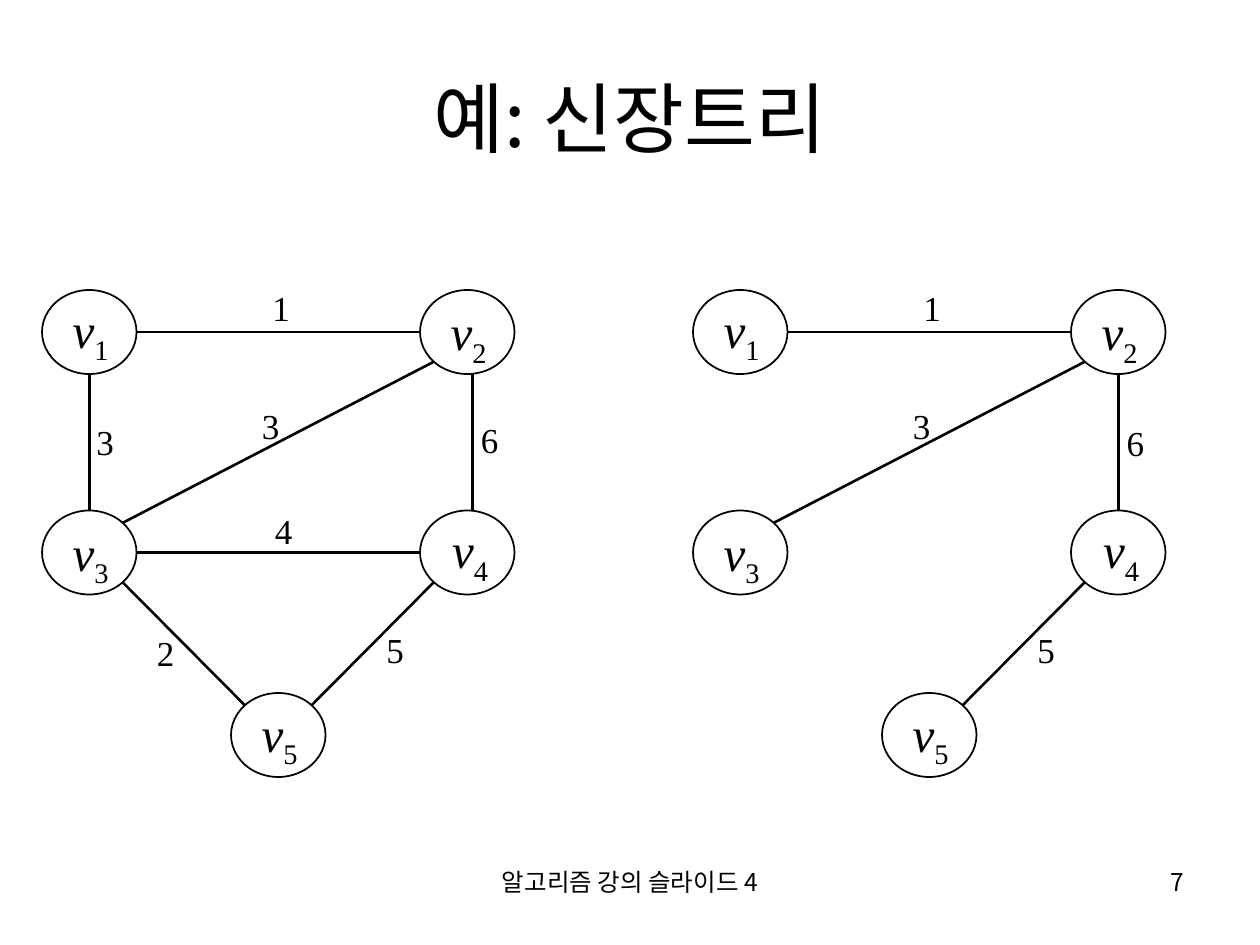
from math import sqrt
from pptx import Presentation
from pptx.dml.color import RGBColor
from pptx.enum.shapes import MSO_CONNECTOR as Link, MSO_SHAPE as Preset
from pptx.enum.text import MSO_ANCHOR as Anchor, MSO_AUTO_SIZE as Fit, PP_ALIGN as Align
from pptx.oxml.ns import qn
from pptx.util import Pt
from lxml.etree import SubElement

PX = 9525
SANS, SERIF = "Noto Sans CJK KR", "Times New Roman"
NODE_W, NODE_H = 72, 64


def color(hex_code):
    return RGBColor.from_string(hex_code)


def write(text, x, y, w, h, size, font=SANS, align=Align.LEFT, anchor=Anchor.TOP,
          wrap=True, spacing=None, italic=False, sub=""):
    box = slide.shapes.add_textbox(x * PX, y * PX, w * PX, h * PX)
    frame = box.text_frame
    frame.word_wrap = wrap
    frame.auto_size = Fit.NONE if wrap else Fit.SHAPE_TO_FIT_TEXT
    frame.vertical_anchor = anchor
    paragraph = frame.paragraphs[0]
    paragraph.alignment = align
    paragraph.line_spacing = spacing
    for part in filter(None, (text, sub)):
        run = paragraph.add_run()
        run.text = part
        run.font.size = Pt(size)
        run.font.name = font
        run.font.italic = italic and part == text
        run.font.color.rgb = color("000000")
        props = run.font._element
        SubElement(props, qn("a:ea")).set("typeface", font)
        if part == sub:
            props.set("baseline", "-25000")


deck = Presentation()
deck.slide_width, deck.slide_height = 960 * PX, 720 * PX
slide = deck.slides.add_slide(deck.slide_layouts[6])

write("알고리즘 강의 슬라이드 4", 328, 656, 304, 50, 14, align=Align.CENTER)
write("7", 688, 656, 224, 50, 14, align=Align.RIGHT)
write("예: 신장트리", 48, 29, 864, 120, 44, align=Align.CENTER, anchor=Anchor.MIDDLE)

vertices = {
    "1": (0, 221, 14, 3),
    "2": (288, 221, 14, 5),
    "3": (0, 389, 14, 5),
    "4": (288, 389, 15, 3),
    "5": (144, 528, 14, 4),
}
shared_edges = [
    ("1", "2", 1, 0, 0, "1", 166, 217),
    ("4", "5", -1, 1, 0, "5", 253, 478),
    ("3", "2", 1, -1, 0, "3", 158, 307),
]
full_graph = shared_edges + [
    ("1", "3", 0, 1, 0, "3", 32, 319),
    ("3", "5", 1, 1, 0, "2", 78, 480),
    ("2", "4", 0, 1, 4, "6", 325, 318),
    ("3", "4", 1, 0, 0, "4", 168, 387),
]
spanning_tree = shared_edges + [("2", "4", 0, 1, 0, "6", 321, 320)]

for left, edges in ((528, spanning_tree), (32, full_graph)):
    for number, (x, y, text_dx, text_dy) in vertices.items():
        vertex = slide.shapes.add_shape(
            Preset.OVAL, (left + x) * PX, y * PX, NODE_W * PX, NODE_H * PX)
        vertex.shadow.inherit = False
        vertex.fill.background()
        vertex.line.color.rgb = color("000000")
        vertex.line.width = Pt(1)
        write("v", left + x + text_dx, y + text_dy, 48, 56, 28, font=SERIF,
              wrap=False, spacing=0.9, italic=True, sub=number)

    for start, end, dx, dy, shift, weight, label_x, label_y in edges:
        reach = 1 / sqrt(dx * dx + dy * dy)
        ends = []
        for number, sign in ((start, 1), (end, -1)):
            x, y = vertices[number][:2]
            ends.append(round((left + x + shift + NODE_W / 2 * (1 + sign * dx * reach)) * PX))
            ends.append(round((y + NODE_H / 2 * (1 + sign * dy * reach)) * PX))
        edge = slide.shapes.add_connector(Link.STRAIGHT, *ends)
        edge.line.color.rgb = color("000000")
        edge.line.width = Pt(1.5)
        SubElement(edge._element.spPr, qn("a:effectLst"))
        write(weight, left + label_x, label_y, 33, 38, 20, font=SERIF,
              wrap=False, spacing=0.9)

deck.save("out.pptx")
